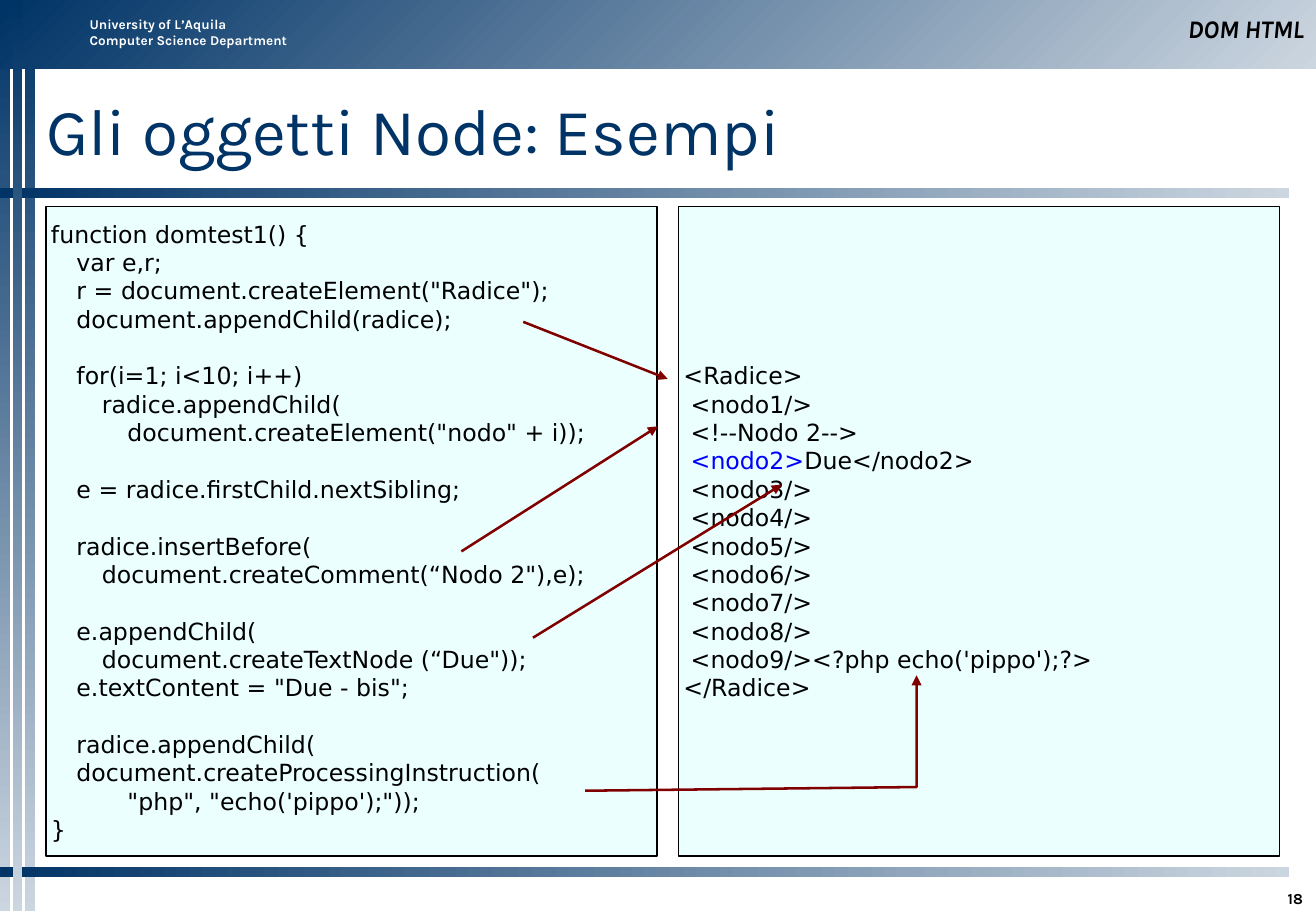
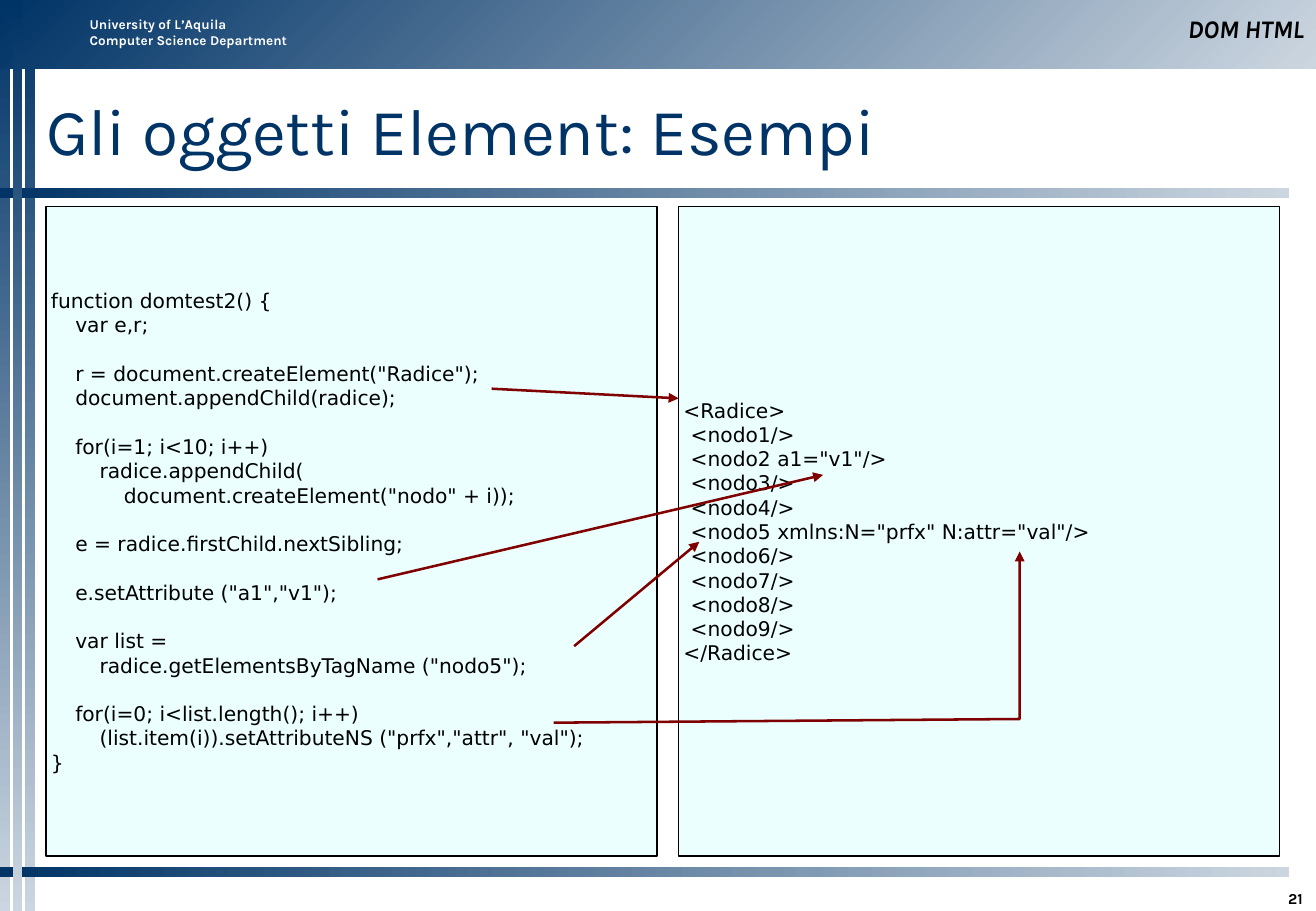
from itertools import pairwise

from pptx import Presentation
from pptx.dml.color import RGBColor
from pptx.enum.shapes import MSO_CONNECTOR, MSO_SHAPE
from pptx.enum.text import MSO_ANCHOR, PP_ALIGN
from pptx.oxml.ns import qn
from pptx.util import Inches, Pt
from lxml.etree import SubElement

WIDTH, HEIGHT = Inches(10.84), Inches(7.5)
COLORS = {
    "navy": "003366",
    "mist": "CCD6E0",
    "panel": "EBFFFF",
    "black": "000000",
    "white": "FFFFFF",
    "blue": "0000FF",
    "arrow": "800000",
}
HEADING_FONT, CODE_FONT = "Karla", "DejaVu Sans"
BAR_WIDTH, BAR_HEIGHT = 0.74, 1.07
PANEL_TOP, PANEL_HEIGHT = 22.67, 71.33
LINE_PITCH = 1.2

NODE_CODE = """
function domtest1() {
    var e,r;
    r = document.createElement("Radice");
    document.appendChild(radice);

    for(i=1; i<10; i++)
        radice.appendChild(
            document.createElement("nodo" + i));

    e = radice.firstChild.nextSibling;

    radice.insertBefore(
        document.createComment(“Nodo 2"),e);

    e.appendChild(
        document.createTextNode (“Due"));
    e.textContent = "Due - bis";

    radice.appendChild(
    document.createProcessingInstruction(
            "php", "echo('pippo');"));
}
"""
NODE_RESULT = """
<Radice>
 <nodo1/>
 <!--Nodo 2-->
 <nodo2>Due</nodo2>
 <nodo3/>
 <nodo4/>
 <nodo5/>
 <nodo6/>
 <nodo7/>
 <nodo8/>
 <nodo9/><?php echo('pippo');?>
</Radice>
"""
ELEMENT_CODE = """
function domtest2() {
    var e,r;

    r = document.createElement("Radice");
    document.appendChild(radice);

    for(i=1; i<10; i++)
        radice.appendChild(
            document.createElement("nodo" + i));

    e = radice.firstChild.nextSibling;

    e.setAttribute ("a1","v1");

    var list =
        radice.getElementsByTagName ("nodo5");

    for(i=0; i<list.length(); i++)
        (list.item(i)).setAttributeNS ("prfx","attr", "val");
}
"""
ELEMENT_RESULT = """
<Radice>
 <nodo1/>
 <nodo2 a1="v1"/>
 <nodo3/>
 <nodo4/>
 <nodo5 xmlns:N="prfx" N:attr="val"/>
 <nodo6/>
 <nodo7/>
 <nodo8/>
 <nodo9/>
</Radice>
"""


def color(name):
    return RGBColor.from_string(COLORS[name])


def point(across, down):
    """Turn percentages of the slide's width and height into lengths."""
    return round(WIDTH * across / 100), round(HEIGHT * down / 100)


def area(left, top, width, height):
    return *point(left, top), *point(width, height)


def write(shape, text, *, size, font=HEADING_FONT, ink="black", bold=False,
          italic=False, align=PP_ALIGN.LEFT, anchor=MSO_ANCHOR.TOP,
          insets=(0.1, 0.05, 0.1, 0.05), pitch=None, indent=0, accent=None):
    """Write one paragraph a line.

    A blank line becomes space before the next paragraph, each leading space
    an indent of the given inches, and the accent wording is blue.
    """
    frame = shape.text_frame
    frame.word_wrap = True
    frame.vertical_anchor = anchor
    (frame.margin_left, frame.margin_top,
     frame.margin_right, frame.margin_bottom) = map(Inches, insets)
    para, blanks = None, 0
    for line in text.strip("\n").split("\n"):
        if not line:
            blanks += 1
            continue
        para = frame.add_paragraph() if para else frame.paragraphs[0]
        para.alignment = align
        if pitch:
            para.line_spacing = Pt(size * pitch)
            para.space_before = Pt(size * pitch * blanks)
        blanks = 0
        words = line.lstrip(" ")
        if indent:
            margin = Inches(indent * (len(line) - len(words)))
            properties = para._p.get_or_add_pPr()
            properties.set("marL", str(margin))
            properties.set("indent", "0")
        for part in words.partition(accent) if accent else [words]:
            if not part:
                continue
            span = para.add_run()
            span.text = part
            span.font.name = font
            span.font.size = Pt(size)
            span.font.bold = bold
            span.font.italic = italic
            span.font.color.rgb = color("blue" if part == accent else ink)


def add_label(page, place, text, **style):
    write(page.shapes.add_textbox(*area(*place)), text, **style)


def add_rectangle(page, place):
    box = page.shapes.add_shape(MSO_SHAPE.RECTANGLE, *area(*place))
    box.shadow.inherit = False
    return box


def add_gradient_bar(page, place, angle):
    """Draw a bar from navy to mist; the angle runs clockwise from the right."""
    bar = add_rectangle(page, place)
    bar.line.fill.background()
    bar.fill.gradient()
    bar.fill.gradient_angle = (360 - angle) % 360
    for stop, name, position in zip(bar.fill.gradient_stops, ("navy", "mist"), (0, 1)):
        stop.color.rgb = color(name)
        stop.position = position


def add_code_panel(page, left, width, code, size, indent, accent=None):
    panel = add_rectangle(page, (left, PANEL_TOP, width, PANEL_HEIGHT))
    panel.fill.solid()
    panel.fill.fore_color.rgb = color("panel")
    panel.line.color.rgb = color("black")
    panel.line.width = Pt(1)
    write(panel, code, size=size, font=CODE_FONT, anchor=MSO_ANCHOR.MIDDLE,
          insets=(0.04,) * 4, pitch=LINE_PITCH, indent=indent, accent=accent)


def add_arrow(page, *stops):
    """Draw an arrow through two stops, or a bent one through more."""
    points = [point(*stop) for stop in stops]
    if len(points) == 2:
        arrow = page.shapes.add_connector(MSO_CONNECTOR.STRAIGHT, *points[0], *points[1])
    else:
        builder = page.shapes.build_freeform(*points[0])
        builder.add_line_segments(points[1:], close=False)
        arrow = builder.convert_to_shape()
        arrow.fill.background()
    arrow.line.color.rgb = color("arrow")
    arrow.line.width = Pt(1.5)
    SubElement(arrow.line._get_or_add_ln(), qn("a:tailEnd"), type="triangle")
    SubElement(arrow._element.spPr, qn("a:effectLst"))


def add_page(deck, title, number):
    """Add a blank page with the bars, header, title and number."""
    page = deck.slides.add_slide(deck.slide_layouts[6])
    first_strip, middle_strip, last_strip = (
        (left, 0, BAR_WIDTH, 100) for left in (0, 0.97, 1.94))
    for place, angle in (
        (first_strip, 90),
        (last_strip, 90),
        ((0, 0, 100, 7.47), 45),
        ((0, 20.67, 97.97, BAR_HEIGHT), 0),
        ((0, 95.2, 97.97, BAR_HEIGHT), 0),
        (middle_strip, 90),
    ):
        add_gradient_bar(page, place, angle)
    add_label(page, (5.9, 1.07, 18.54, 4.93),
              "University of L’Aquila\nComputer Science Department",
              size=8, ink="white", bold=True)
    add_label(page, (3.51, 7.73, 94.74, 12.8), title, size=39, ink="navy",
              anchor=MSO_ANCHOR.MIDDLE, insets=(0,) * 4)
    add_label(page, (89.02, 96.27, 10.89, 3.33), str(number), size=9, bold=True,
              align=PP_ALIGN.RIGHT, anchor=MSO_ANCHOR.BOTTOM, insets=(0.1, 0.05, 0.1, 0))
    add_label(page, (51.66, 1.07, 48.34, 4.4), "DOM HTML", size=15, bold=True,
              italic=True, align=PP_ALIGN.RIGHT, anchor=MSO_ANCHOR.BOTTOM)
    return page


def add_example(deck, title, number, code, result, size, tab, arrows, accent=None):
    """Add a page with code at left, its result at right and arrows between."""
    page = add_page(deck, title, number)
    add_code_panel(page, 51.57, 45.66, result, size, 0.06, accent)
    add_code_panel(page, 3.51, 46.4, code, size, tab / 4)
    for stops in arrows:
        add_arrow(page, *stops)


def main():
    deck = Presentation()
    deck.slide_width, deck.slide_height = WIDTH, HEIGHT
    add_example(
        deck, "Gli oggetti Node: Esempi", 18, NODE_CODE, NODE_RESULT,
        size=14, tab=0.21, accent="<nodo2>",
        arrows=(
            ((44.46, 86.8), (69.65, 86.4), (69.65, 74.13)),
            ((35.06, 60.53), (50, 46.8)),
            ((40.5, 70), (59.41, 53.2)),
            ((39.76, 35.33), (50.74, 41.6)),
        ))
    add_example(
        deck, "Gli oggetti Element: Esempi", 21, ELEMENT_CODE, ELEMENT_RESULT,
        size=12, tab=0.2,
        arrows=(
            ((28.69, 63.6), (62.55, 52.13)),
            ((43.63, 70.93), (53.14, 59.47)),
            ((42.07, 79.33), (77.49, 78.93), (77.49, 60.53)),
            ((37.36, 42.67), (51.57, 43.73)),
        ))
    deck.save("out.pptx")


if __name__ == "__main__":
    main()
